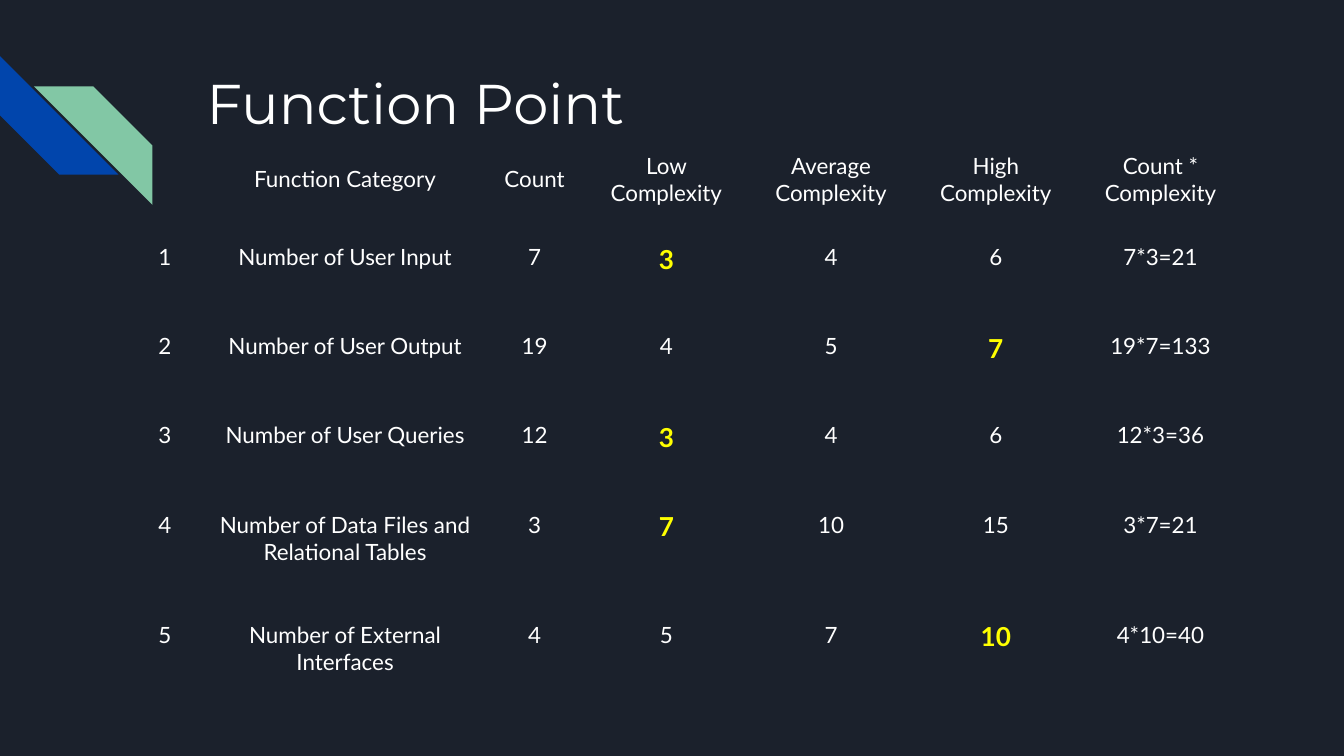
from pptx import Presentation
from pptx.dml.color import RGBColor
from pptx.enum.shapes import MSO_SHAPE
from pptx.enum.text import MSO_ANCHOR, PP_ALIGN
from pptx.oxml.ns import qn
from pptx.util import Pt

STRIPE = MSO_SHAPE.DIAGONAL_STRIPE
TOP, MID = MSO_ANCHOR.TOP, MSO_ANCHOR.MIDDLE
LEFT, CENTER, JUST = PP_ALIGN.LEFT, PP_ALIGN.CENTER, PP_ALIGN.JUSTIFY
DARK = RGBColor(0x1B, 0x21, 0x2C)
BLUE = RGBColor(0x01, 0x45, 0xAC)
GREEN = RGBColor(0x82, 0xC7, 0xA5)
WHITE = RGBColor(0xFF, 0xFF, 0xFF)
YELLOW = RGBColor(0xFF, 0xFF, 0x00)
NO_GRID = "{2D5ABB26-0587-4C30-8999-92F81FD0307C}"


def write(frame, text, size=12, face="Lato", color=WHITE, bold=False, align=CENTER):
    frame.word_wrap = True
    para = frame.paragraphs[0]
    para.alignment = align
    run = para.add_run()
    run.text = text
    font = run.font
    font.size = Pt(size)
    font.name = face
    font.bold = bold
    font.color.rgb = color


deck = Presentation()
deck.slide_width, deck.slide_height = Pt(720), Pt(405)
slide = deck.slides.add_slide(deck.slide_layouts[6])
slide.background.fill.solid()
slide.background.fill.fore_color.rgb = DARK

stripes = []
for x, y, color in [(0, 30, BLUE), (18.2, 46.3, GREEN)]:
    stripe = slide.shapes.add_shape(STRIPE, Pt(x), Pt(y), Pt(63.5), Pt(63.5))
    stripe.adjustments[0] = 0.5
    stripe.shadow.inherit = False
    stripe.fill.solid()
    stripe.fill.fore_color.rgb = color
    stripe.line.fill.background()
    stripes.append(stripe)
stripes[0].rotation = 270
stripes[1]._element.spPr.find(qn("a:xfrm")).set("flipH", "1")

rows = [
    ["", "Function Category", "Count", "Low Complexity", "Average Complexity",
     "High Complexity", "Count * Complexity"],
    ["1", "Number of User Input", "7", "3", "4", "6", "7*3=21"],
    ["2", "Number of User Output", "19", "4", "5", "7", "19*7=133"],
    ["3", "Number of User Queries", "12", "3", "4", "6", "12*3=36"],
    ["4", "Number of Data Files and Relational Tables", "3", "7", "10", "15", "3*7=21"],
    ["5", "Number of External Interfaces", "4", "5", "7", "10", "4*10=40"],
]
picks = {(1, 3), (2, 5), (3, 3), (4, 3), (5, 5)}
widths = [30, 150, 53] + [88.25] * 4
heights = [59] + [47.8] * 3 + [59] * 2

table = slide.shapes.add_table(
    len(rows), len(widths), Pt(79.9), Pt(66.4), Pt(sum(widths)), Pt(sum(heights))
).table
table.first_row = table.horz_banding = False
table._tbl.tblPr.find(qn("a:tableStyleId")).text = NO_GRID
for col, width in zip(table.columns, widths):
    col.width = Pt(width)
for r, (row, height) in enumerate(zip(rows, heights)):
    table.rows[r].height = Pt(height)
    for c, text in enumerate(row):
        cell = table.cell(r, c)
        cell.fill.background()
        cell.margin_left = cell.margin_right = Pt(5)
        cell.margin_top = cell.margin_bottom = Pt(5)
        cell.vertical_anchor = TOP if r else MID
        if (r, c) in picks:
            write(cell.text_frame, text, size=14, color=YELLOW, bold=True)
        elif text:
            write(cell.text_frame, text, align=CENTER if c else JUST)

title = slide.shapes.add_textbox(Pt(103.7), Pt(29.5), Pt(554.4), Pt(72)).text_frame
title.margin_left = title.margin_right = Pt(7.2)
title.margin_top = title.margin_bottom = Pt(7.2)
title.vertical_anchor = TOP
write(title, "Function Point", size=30, face="Montserrat", align=LEFT)

deck.save("out.pptx")
